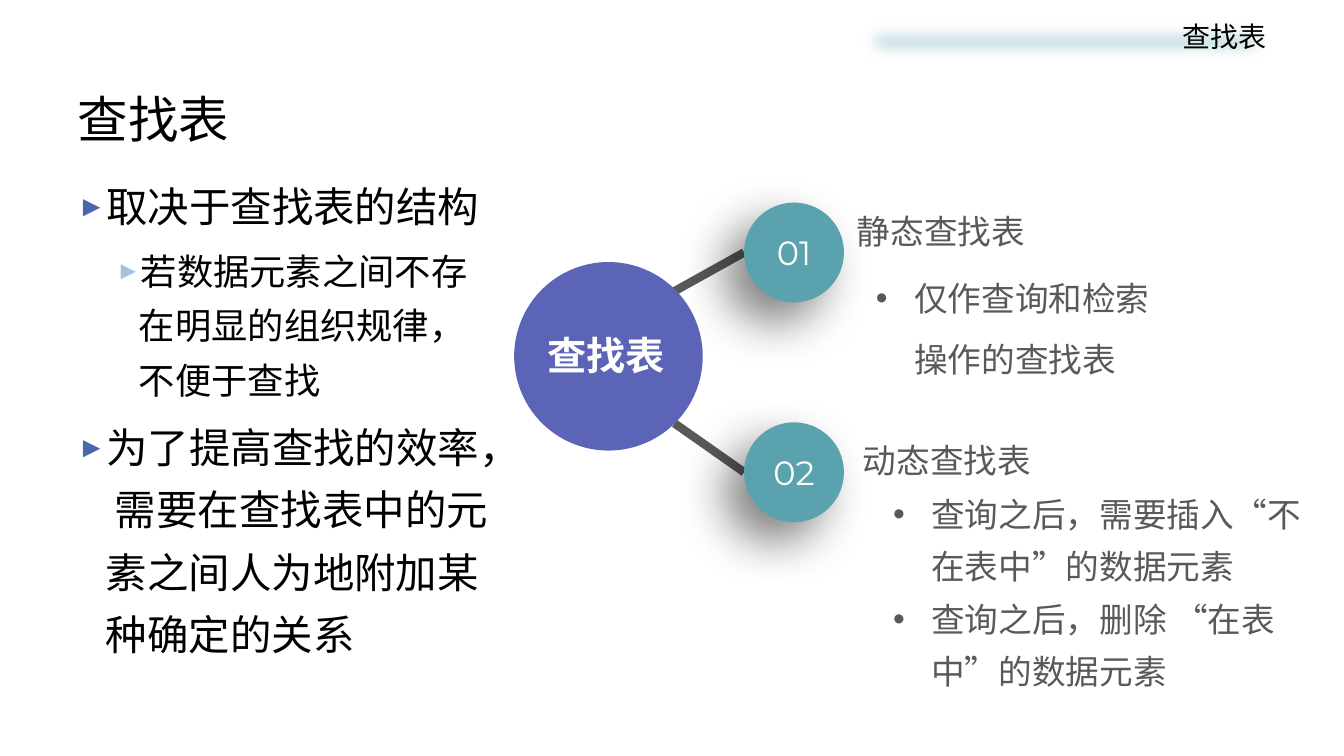
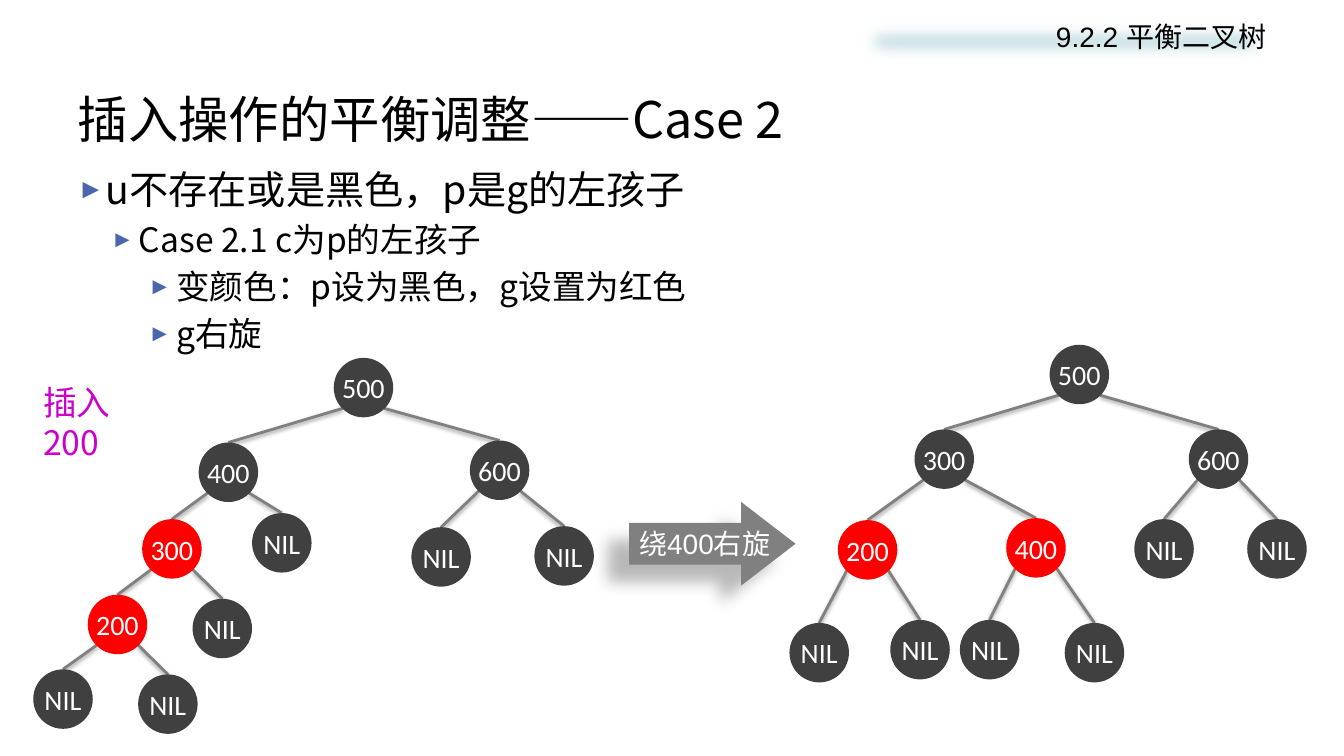
from lxml import etree
from pptx import Presentation
from pptx.dml.color import RGBColor
from pptx.enum.shapes import MSO_CONNECTOR, MSO_SHAPE
from pptx.enum.text import MSO_ANCHOR, PP_ALIGN
from pptx.oxml.ns import qn
from pptx.util import Emu, Inches, Pt

OVAL, RECT, ARROW = MSO_SHAPE.OVAL, MSO_SHAPE.RECTANGLE, MSO_SHAPE.RIGHT_ARROW
LINE = MSO_CONNECTOR.STRAIGHT
LEFT, MID, RIGHT = PP_ALIGN.LEFT, PP_ALIGN.CENTER, PP_ALIGN.RIGHT
TOP, CENTRE = MSO_ANCHOR.TOP, MSO_ANCHOR.MIDDLE

INK = {
    "black": "000000", "white": "FFFFFF", "band": "BDDADF", "blue": "4A66AC",
    "sky": "A1C4E3", "teal": "5AA2AE", "violet": "5C64B7", "text": "595959",
    "node": "404040", "red": "FF0000", "grey": "808080", "pink": "CC00CC",
}
SANS = "Noto Sans CJK SC"
TITLE = {"size": 36, "name": SANS, "color": "black"}
HEAD = {"size": 20, "name": "Arial", "color": "black"}
LABEL = {"size": 24, "name": "Arial", "color": "text"}
POINT = {"size": 24, "name": "Calibri", "east": SANS, "color": "text"}
BADGE = {"size": 24, "name": "Montserrat", "color": "white"}
HUB = {"size": 28, "name": SANS, "color": "white", "bold": True}
KEY = {"size": 20, "name": "Calibri", "color": "white"}
TURN = {"size": 20, "name": "Arial", "color": "white"}
NOTE = {"size": 24, "name": SANS, "color": "pink"}

# Shadows: opacity %, blur pt, distance pt, angle
DEEP = (50, 35, 20, 135)
SOFT = (28, 11.8, 19.7, 141)
THIN = (38, 3.1, 1.6, 90)

NODE = 0.59
# Tree cells: heap index -> label, offset from the root; children of i are 2i and 2i + 1
BEFORE = {
    1: ("500", 0, 0), 2: ("400", -1.34, 0.84), 3: ("600", 1.35, 0.82),
    4: ("300", -1.9, 1.6), 5: ("NIL", -0.81, 1.54),
    6: ("NIL", 0.77, 1.68), 7: ("NIL", 1.99, 1.67),
    8: ("200", -2.44, 2.35), 9: ("NIL", -1.4, 2.39),
    16: ("NIL", -2.98, 3.09), 17: ("NIL", -1.94, 3.14),
}
AFTER = {
    1: ("500", 0, 0), 2: ("300", -1.34, 0.84), 3: ("600", 1.38, 0.84),
    4: ("200", -2.1, 1.74), 5: ("400", -0.43, 1.72),
    6: ("NIL", 0.84, 1.73), 7: ("NIL", 1.96, 1.73),
    8: ("NIL", -2.58, 2.76), 9: ("NIL", -1.58, 2.73),
    10: ("NIL", -0.89, 2.73), 11: ("NIL", 0.15, 2.76),
}


def rgb(name):
    return RGBColor.from_string(INK[name])


def sub(node, tag, **attrs):
    return etree.SubElement(node, qn("a:" + tag), {k: str(v) for k, v in attrs.items()})


def style(run, form):
    for key, value in form.items():
        if key == "color":
            run.font.color.rgb = rgb(value)
        elif key != "east":
            setattr(run.font, key, Pt(value) if key == "size" else value)
    sub(run.font._element, "ea", typeface=form.get("east", form["name"]))


def bullet(para, left, hang, mark, color=None):
    props = para._p.get_or_add_pPr()
    props.set("marL", str(Inches(left)))
    props.set("indent", str(-Inches(hang)))
    if color:
        sub(sub(props, "buClr"), "srgbClr", val=INK[color])
        sub(props, "buSzPct", val=70000)
    sub(props, "buFont", typeface="Arial")
    sub(props, "buChar", char=mark)


def write(frame, lines, align=LEFT, anchor=TOP, wrap=True):
    """Fill a frame; each line is text, form and optional bullet, gap and pitch."""
    frame.word_wrap, frame.vertical_anchor = wrap, anchor
    for i, (text, form, extra) in enumerate(lines):
        para = frame.add_paragraph() if i else frame.paragraphs[0]
        para.alignment = align
        if "bullet" in extra:
            bullet(para, *extra["bullet"])
        para.line_spacing = extra.get("pitch", 1.0)
        para.space_before = Pt(extra.get("gap", 0) if i else 0)
        run = para.add_run()
        run.text = text
        style(run, form)


def text(slide, box, lines):
    write(slide.shapes.add_textbox(*map(Inches, box)).text_frame, lines)


def shade(effects, cast):
    alpha, blur, dist, angle = cast
    outer = sub(effects, "outerShdw", blurRad=Pt(blur), dist=Pt(dist),
                dir=angle * 60000, algn="t", rotWithShape=0)
    sub(sub(outer, "srgbClr", val=INK["black"]), "alpha", val=alpha * 1000)


def shape(slide, kind, box, color, cast=None):
    item = slide.shapes.add_shape(kind, *map(Inches, box))
    item.fill.solid()
    item.fill.fore_color.rgb = rgb(color)
    item.line.fill.background()
    item.shadow.inherit = False
    if cast:
        shade(item._element.spPr.find(qn("a:effectLst")), cast)
    return item


def disc(slide, x, y, size, color, label, form, cast=None):
    frame = shape(slide, OVAL, (x, y, size, size), color, cast).text_frame
    frame.margin_left = frame.margin_right = Emu(0)
    write(frame, [(label, form, {})], MID, CENTRE, False)


def link(slide, start, end, color, width, cast=None):
    line = slide.shapes.add_connector(LINE, *map(Inches, (*start, *end)))
    line.line.color.rgb = rgb(color)
    line.line.width = Pt(width)
    effects = sub(line._element.spPr, "effectLst")
    if cast:
        shade(effects, cast)


def page(deck, title, head):
    """Add a slide with its title and the soft header band."""
    slide = deck.slides.add_slide(deck.slide_layouts[5])
    name = slide.shapes.title
    name.left, name.top, name.width, name.height = map(Inches, (0.67, 0.8, 12, 0.75))
    write(name.text_frame, [(title, TITLE, {})], anchor=CENTRE)
    band = shape(slide, RECT, (8.46, 0.14, 4.2, 0.54), "band")
    sub(band._element.spPr.find(qn("a:effectLst")), "softEdge", rad=Pt(12.5))
    write(band.text_frame, [(head, HEAD, {})], RIGHT)
    return slide


def body(slide, box, rows):
    """Write arrow bullets; a row is text, size, left, hang, colour, pitch."""
    text(slide, box, [
        (words, {"size": size, "name": SANS, "color": "black"},
         {"bullet": (left, hang, "►", color), "gap": size / 5, "pitch": pitch})
        for words, size, left, hang, color, pitch in rows])


def fork(slide, x, y):
    """Draw a hub with two numbered branches."""
    size, hub = 0.99, 1.87
    tops = (y - 0.59, y + 1.59)
    for top, start in zip(tops, ((1.57, 0.3), (1.59, 1.6))):
        link(slide, (x + start[0], y + start[1]), (x + 2.28, top + size / 2), "text", 6)
    for label, top in zip(("01", "02"), tops):
        disc(slide, x + 2.28, top, size, "teal", label, BADGE, DEEP)
    shape(slide, OVAL, (x, y, hub, hub), "violet")
    name = shape(slide, RECT, (x + 0.22, y + 0.64, 1.38, 0.57), "violet")
    write(name.text_frame, [("查找表", HUB, {})], MID, TOP, False)


def tree(slide, x, y, cells, red):
    """Draw a binary tree whose root has its top left corner at x, y."""
    spots = {i: (x + dx, y + dy) for i, (_, dx, dy) in cells.items()}
    for i, (left, top) in spots.items():
        if i > 1:
            px, py = spots[i // 2]
            side = 0.85 if i % 2 else 0.15
            link(slide, (px + NODE * side, py + NODE * 0.85),
                 (left + NODE / 2, top), "grey", 2, THIN)
    for i, (left, top) in spots.items():
        disc(slide, left, top, NODE, "red" if i in red else "node", cells[i][0], KEY)


def lookup(deck):
    slide = page(deck, "查找表", "查找表")
    body(slide, (0.67, 1.75, 4.37, 4.95), [
        ("取决于查找表的结构", 29.6, 0.28, 0.28, "blue", 1.0),
        ("若数据元素之间不存在明显的组织规律，不便于查找",
         25.9, 0.61, 0.23, "sky", 1.25),
        ("为了提高查找的效率， 需要在查找表中的元素之间人为地附加某种确定的关系",
         29.6, 0.28, 0.28, "blue", 1.25),
    ])
    fork(slide, 5.1, 2.6)
    dot = (0.38, 0.38, "•")
    text(slide, (8.4, 1.84, 2.51, 0.61), [("静态查找表", LABEL, {"pitch": 1.5})])
    text(slide, (8.46, 4.11, 2.28, 0.61), [("动态查找表", LABEL, {"pitch": 1.5})])
    text(slide, (8.59, 2.51, 3.03, 1.24),
         [("仅作查询和检索操作的查找表", POINT, {"bullet": dot, "pitch": 1.5})])
    text(slide, (8.76, 4.73, 4.3, 2.15), [
        (words, POINT, {"bullet": dot, "pitch": 1.3})
        for words in ("查询之后，需要插入“不在表中”的数据元素",
                      "查询之后，删除 “在表中”的数据元素")])


def rotate(deck):
    slide = page(deck, "插入操作的平衡调整——Case 2", "9.2.2 平衡二叉树")
    body(slide, (0.67, 1.59, 10.58, 1.89), [
        (words, size, left, 0.28, "blue", 1.0) for words, size, left in (
            ("u不存在或是黑色，p是g的左孩子", 28, 0.28),
            ("Case 2.1 c为p的左孩子", 24, 0.61),
            ("变颜色：p设为黑色，g设置为红色", 24, 0.98),
            ("g右旋", 24, 0.98))])
    text(slide, (0.33, 3.74, 1.1, 0.9), [("插入200", NOTE, {})])
    tree(slide, 3.31, 3.55, BEFORE, {4, 8})
    arrow = shape(slide, ARROW, (6.24, 4.98, 1.65, 0.83), "grey", SOFT)
    arrow.adjustments[0], arrow.adjustments[1] = 0.5, 0.65
    write(arrow.text_frame, [("绕400右旋", TURN, {})], LEFT, CENTRE, False)
    tree(slide, 10.41, 3.42, AFTER, {4, 5})


def main():
    deck = Presentation()
    deck.slide_width, deck.slide_height = Inches(13.33), Inches(7.5)
    lookup(deck)
    rotate(deck)
    deck.save("out.pptx")


if __name__ == "__main__":
    main()
